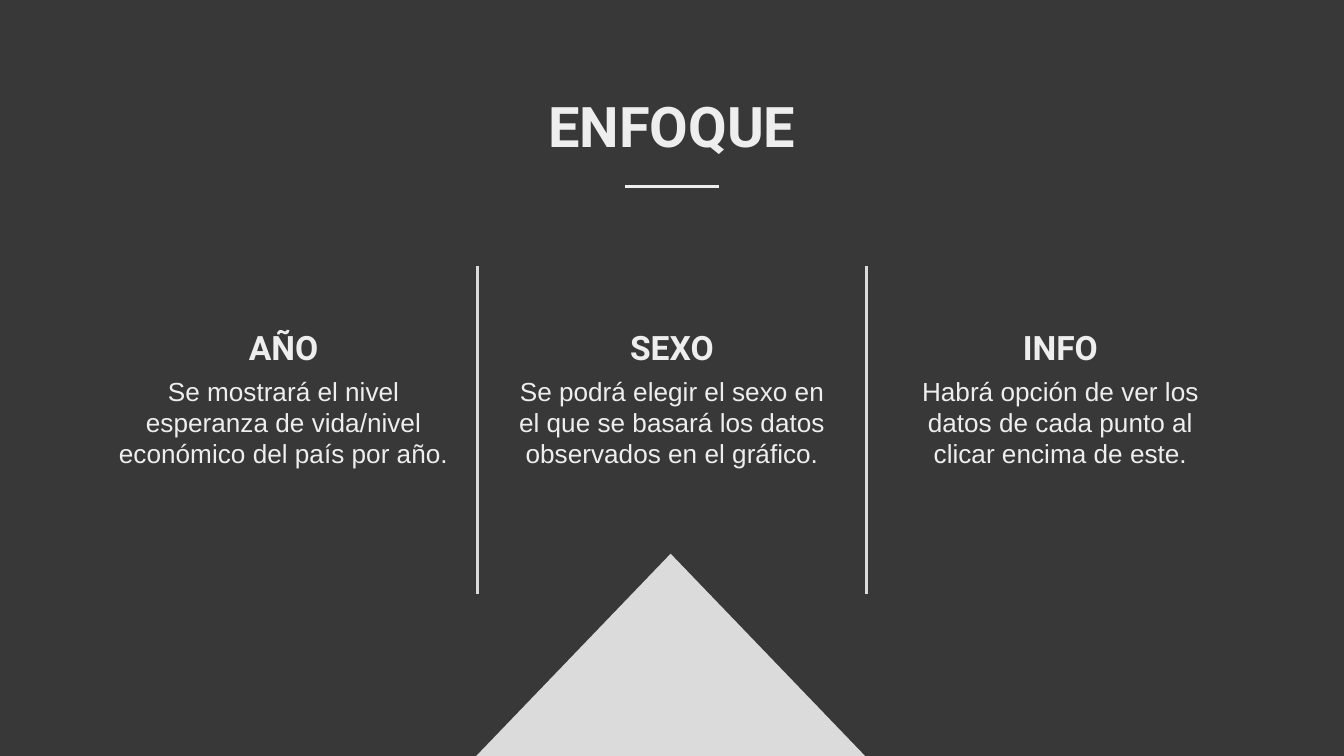
from pptx import Presentation
from pptx.dml.color import RGBColor
from pptx.enum.shapes import MSO_CONNECTOR, MSO_SHAPE
from pptx.enum.text import MSO_ANCHOR as ANCHOR, MSO_AUTO_SIZE, PP_ALIGN
from pptx.oxml.ns import qn
from pptx.util import Inches, Pt
from lxml import etree

COLORS = {"background": "383838", "text": "EEEEEE", "accent": "DBDBDB"}


def write(box, text, font, size, bold, anchor):
    frame = box.text_frame
    frame.word_wrap = True
    frame.auto_size = MSO_AUTO_SIZE.NONE
    frame.vertical_anchor = anchor
    frame.margin_left = frame.margin_right = Inches(0.1)
    frame.margin_top = frame.margin_bottom = Inches(0.1)
    frame.text = text
    paragraph = frame.paragraphs[0]
    paragraph.alignment = PP_ALIGN.CENTER
    paragraph.font.name = font
    paragraph.font.size = Pt(size)
    paragraph.font.bold = bold
    paragraph.font.color.rgb = RGBColor.from_string(COLORS["text"])


def draw_line(x1, y1, x2, y2, color):
    line = slide.shapes.add_connector(
        MSO_CONNECTOR.STRAIGHT, Inches(x1), Inches(y1), Inches(x2), Inches(y2))
    line.line.color.rgb = RGBColor.from_string(COLORS[color])
    line.line.width = Pt(1.5)
    etree.SubElement(line._element.spPr, qn("a:effectLst"))


prs = Presentation()
prs.slide_width = Inches(10)
prs.slide_height = Inches(10) * 9 // 16
slide = prs.slides.add_slide(prs.slide_layouts[5])
slide.background.fill.solid()
slide.background.fill.fore_color.rgb = RGBColor.from_string(COLORS["background"])

peak = slide.shapes.add_shape(
    MSO_SHAPE.ISOSCELES_TRIANGLE, Inches(3.5), Inches(4.12), Inches(2.98), Inches(1.55))
peak.shadow.inherit = False
peak.fill.solid()
peak.fill.fore_color.rgb = RGBColor.from_string(COLORS["accent"])
peak.line.fill.background()

heading = slide.shapes.title
heading.left, heading.top = Inches(2.16), Inches(0.58)
heading.width, heading.height = Inches(5.68), Inches(0.58)
write(heading, "ENFOQUE", "Roboto", 30, True, ANCHOR.TOP)
draw_line(4.65, 1.39, 5.35, 1.39, "text")

topics = [
    ("AÑO", "Se mostrará el nivel esperanza de vida/nivel económico del país por año."),
    ("SEXO", "Se podrá elegir el sexo en el que se basará los datos observados en el gráfico."),
    ("INFO", "Habrá opción de ver los datos de cada punto al clicar encima de este."),
]
topic_width, description_width = 1.64, 2.65
for column, (topic, description) in enumerate(topics):
    center = 5 + (column - 1) * 2.89
    topic_box = slide.shapes.add_textbox(
        Inches(center - topic_width / 2), Inches(2.36), Inches(topic_width), Inches(0.45))
    write(topic_box, topic, "Roboto", 18, True, ANCHOR.MIDDLE)
    description_box = slide.shapes.add_textbox(
        Inches(center - description_width / 2), Inches(2.69),
        Inches(description_width), Inches(0.82))
    write(description_box, description, "Arial", 14, False, ANCHOR.TOP)

for divider_x in (3.55, 6.45):
    draw_line(divider_x, 1.98, divider_x, 4.42, "accent")

prs.save("out.pptx")
